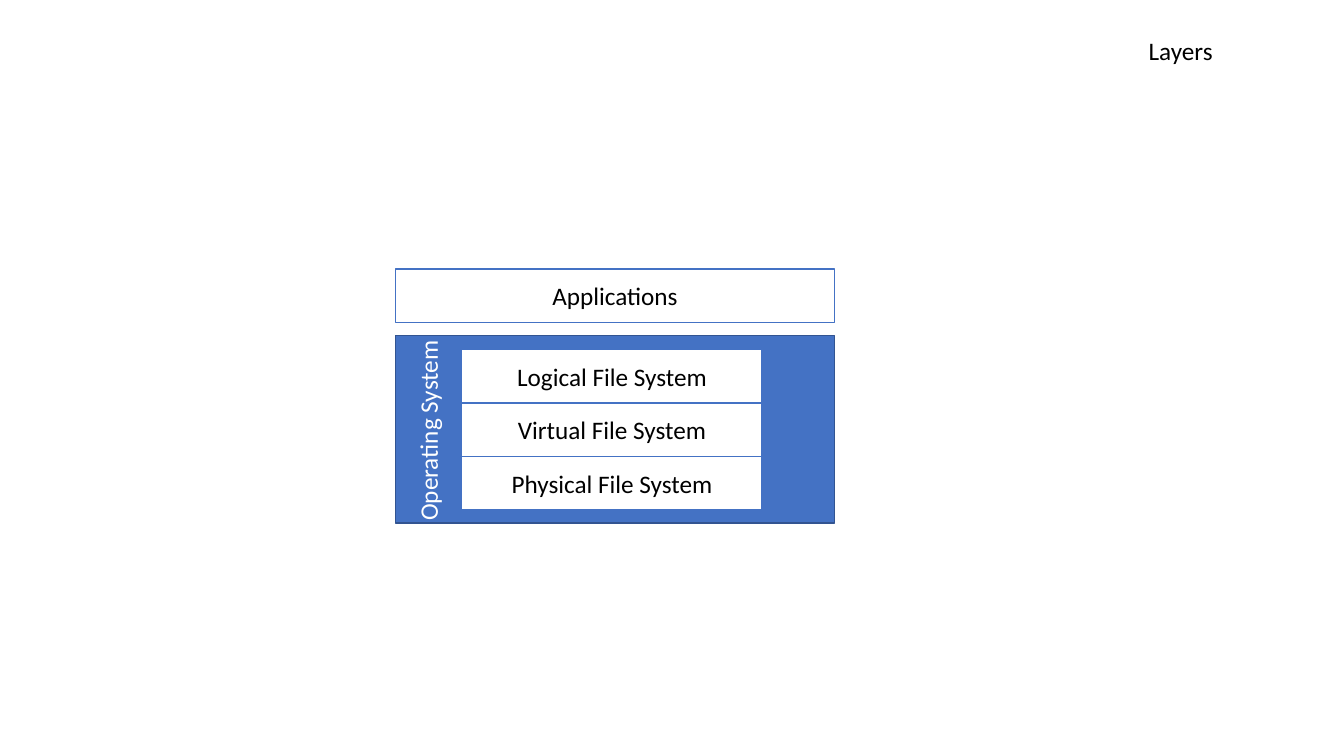
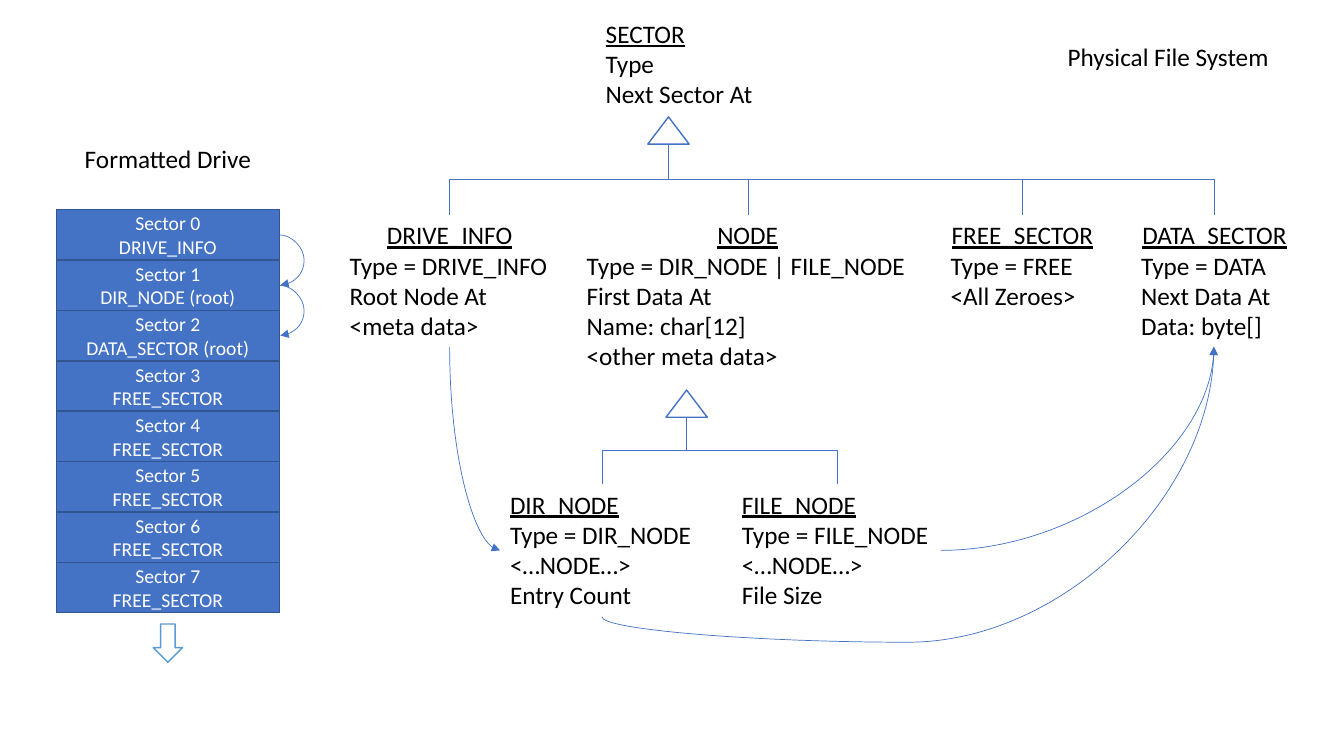
from dataclasses import dataclass

from lxml import etree
from pptx import Presentation
from pptx.dml.color import RGBColor
from pptx.enum.shapes import MSO_CONNECTOR, MSO_SHAPE
from pptx.enum.text import MSO_ANCHOR, MSO_AUTO_SIZE, PP_ALIGN
from pptx.oxml.ns import qn
from pptx.shapes.autoshape import Shape
from pptx.slide import Slide
from pptx.text.text import TextFrame
from pptx.util import Inches, Pt

RECT = MSO_SHAPE.RECTANGLE
PEAK = MSO_SHAPE.ISOSCELES_TRIANGLE
DOWN = MSO_SHAPE.DOWN_ARROW
ELBOW = MSO_CONNECTOR.ELBOW
CURVE = MSO_CONNECTOR.CURVE
LEFT = PP_ALIGN.LEFT
MID = PP_ALIGN.CENTER
RIGHT = PP_ALIGN.RIGHT


@dataclass(frozen=True)
class Theme:
    font: str = "Calibri"
    body: float = 18
    small: float = 14
    edge: float = 1
    thin: float = 0.5
    blue: RGBColor = RGBColor(0x44, 0x72, 0xC4)
    navy: RGBColor = RGBColor(0x32, 0x54, 0x91)
    sky: RGBColor = RGBColor(0x5B, 0x9B, 0xD5)
    white: RGBColor = RGBColor(0xFF, 0xFF, 0xFF)
    black: RGBColor = RGBColor(0x00, 0x00, 0x00)


THEME = Theme()


@dataclass(frozen=True)
class Area:
    left: float
    top: float
    width: float
    height: float

    def sides(self) -> tuple[int, int, int, int]:
        return (Inches(self.left), Inches(self.top),
                Inches(self.width), Inches(self.height))


@dataclass(frozen=True)
class Note:
    area: Area
    text: str
    head: PP_ALIGN = MID


@dataclass(frozen=True)
class Tree:
    x: float
    top: float
    base: float
    ends: tuple[float, ...]


@dataclass(frozen=True)
class Link:
    start: tuple[float, float]
    end: tuple[float, float]
    kind: MSO_CONNECTOR = CURVE
    preset: str = ""
    bend: float | None = None
    turned: bool = False
    arrow: bool = True


LAYERS = ("Logical File System", "Virtual File System", "Physical File System")
SECTORS = ("DRIVE_INFO", "DIR_NODE (root)", "DATA_SECTOR (root)") + ("FREE_SECTOR",) * 5
NOTES = (
    Note(Area(5.91, 0.13, 1.67, 1.01), "SECTOR\nType\nNext Sector At", LEFT),
    Note(Area(3.37, 2.13, 2.18, 1.31),
         "DRIVE_INFO\nType = DRIVE_INFO\nRoot Node At\n<meta data>"),
    Note(Area(5.72, 2.13, 3.39, 1.62),
         "NODE\nType = DIR_NODE | FILE_NODE\nFirst Data At\nName: char[12]\n<other meta data>"),
    Note(Area(9.33, 2.13, 1.62, 1.01), "FREE_SECTOR\nType = FREE\n<All Zeroes>"),
    Note(Area(11.22, 2.13, 1.65, 1.31),
         "DATA_SECTOR\nType = DATA\nNext Data At\nData: byte[]"),
    Note(Area(4.96, 4.8, 2.02, 1.31),
         "DIR_NODE\nType = DIR_NODE\n<…NODE…>\nEntry Count", LEFT),
    Note(Area(7.26, 4.8, 2.07, 1.31),
         "FILE_NODE\nType = FILE_NODE\n<…NODE…>\nFile Size", LEFT),
)
TREES = (
    Tree(6.63, 1.16, 2.13, (4.46, 7.42, 10.14, 12.04)),
    Tree(6.81, 3.87, 4.8, (5.97, 8.3)),
)
LINKS = (
    Link((4.46, 3.44), (4.96, 5.46), preset="curvedConnector2", turned=True),
    Link((9.33, 5.46), (12.04, 3.44), preset="curvedConnector2"),
    Link((5.97, 6.12), (12.04, 3.44), bend=-0.094, turned=True),
)


def write(frame: TextFrame, text: str, size: float, color: RGBColor, align: PP_ALIGN) -> None:
    frame.text = text
    for para in frame.paragraphs:
        para.alignment = align
        for run in para.runs:
            run.font.name = THEME.font
            run.font.size = Pt(size)
            run.font.color.rgb = color


def label(slide: Slide, area: Area, text: str, align: PP_ALIGN = LEFT,
          color: RGBColor = THEME.black, wrap: bool = False) -> Shape:
    box = slide.shapes.add_textbox(*area.sides())
    box.text_frame.word_wrap = wrap
    box.text_frame.auto_size = MSO_AUTO_SIZE.SHAPE_TO_FIT_TEXT
    write(box.text_frame, text, THEME.body, color, align)
    return box


def block(slide: Slide, area: Area, fill: RGBColor, line: RGBColor, text: str = "",
          size: float = THEME.body, color: RGBColor = THEME.black,
          kind: MSO_SHAPE = RECT) -> None:
    shape = slide.shapes.add_shape(kind, *area.sides())
    shape.shadow.inherit = False
    shape.fill.solid()
    shape.fill.fore_color.rgb = fill
    shape.line.color.rgb = line
    shape.line.width = Pt(THEME.edge)
    if text:
        shape.text_frame.vertical_anchor = MSO_ANCHOR.MIDDLE
        write(shape.text_frame, text, size, color, MID)


def note(slide: Slide, item: Note) -> None:
    box = label(slide, item.area, item.text)
    head = box.text_frame.paragraphs[0]
    head.alignment = item.head
    head.runs[0].font.underline = True


def join(slide: Slide, link: Link) -> None:
    (x1, y1), (x2, y2) = link.start, link.end
    turn = 0
    if link.turned:
        dx, dy = x2 - x1, y2 - y1
        turn = 270 if dx > 0 and dy > 0 else 90
        sign = 1 if turn == 90 else -1
        mx, my = (x1 + x2) / 2, (y1 + y2) / 2
        x1, x2 = mx - sign * dy / 2, mx + sign * dy / 2
        y1, y2 = my + sign * dx / 2, my - sign * dx / 2
    wire = slide.shapes.add_connector(
        link.kind, Inches(x1), Inches(y1), Inches(x2), Inches(y2))
    wire.rotation = turn
    wire.line.color.rgb = THEME.blue
    wire.line.width = Pt(THEME.thin)
    props = wire._element.spPr
    form = props.find(qn("a:prstGeom"))
    if link.preset:
        form.set("prst", link.preset)
    if link.bend is not None:
        guide = etree.SubElement(form.find(qn("a:avLst")), qn("a:gd"))
        guide.set("name", "adj1")
        guide.set("fmla", f"val {round(link.bend * 100000)}")
    if link.arrow:
        etree.SubElement(props.find(qn("a:ln")), qn("a:tailEnd")).set("type", "triangle")
    etree.SubElement(props, qn("a:effectLst"))


def branch(slide: Slide, tree: Tree) -> None:
    width, height = 0.41, 0.27
    block(slide, Area(tree.x - width / 2, tree.top, width, height),
          THEME.white, THEME.blue, kind=PEAK)
    for end in tree.ends:
        join(slide, Link((tree.x, tree.top + height), (end, tree.base),
                         ELBOW, turned=True, arrow=False))


def stack(slide: Slide) -> None:
    left, top, width, step = 0.56, 2.08, 2.21, 0.5
    for i, name in enumerate(SECTORS):
        block(slide, Area(left, top + i * step, width, step), THEME.blue, THEME.navy,
              f"Sector {i}\n{name}", THEME.small, THEME.white)
    edge = left + width
    for i in range(2):
        y = top + (i + 0.5) * step
        join(slide, Link((edge, y), (edge + 0.01, y + step), bend=25))
    block(slide, Area(1.52, 6.19, 0.29, 0.38), THEME.white, THEME.sky, kind=DOWN)
    label(slide, Area(left, 1.37, width, 0.4), "Formatted Drive", MID, wrap=True)


def layers(slide: Slide) -> None:
    left, width, row = 3.92, 4.36, 0.53
    block(slide, Area(left, 3.33, width, 1.86), THEME.blue, THEME.navy)
    for i, name in enumerate(LAYERS):
        block(slide, Area(4.58, 3.47 + i * row, 2.98, row), THEME.white, THEME.blue, name)
    block(slide, Area(left, 2.67, width, row), THEME.white, THEME.blue, "Applications")
    side = label(slide, Area(3.24, 4.06, 2.01, 0.4), "Operating System", color=THEME.white)
    side.rotation = 270
    label(slide, Area(11.29, 0.3, 0.84, 0.4), "Layers", MID)


def files(slide: Slide) -> None:
    label(slide, Area(9.34, 0.36, 3.34, 0.4), "Physical File System", RIGHT, wrap=True)
    stack(slide)
    for item in NOTES:
        note(slide, item)
    for tree in TREES:
        branch(slide, tree)
    for link in LINKS:
        join(slide, link)


def main() -> None:
    deck = Presentation()
    deck.slide_width = Inches(13.33)
    deck.slide_height = Inches(7.5)
    blank = deck.slide_layouts[6]
    for draw in (layers, files):
        draw(deck.slides.add_slide(blank))
    deck.save("out.pptx")


if __name__ == "__main__":
    main()
